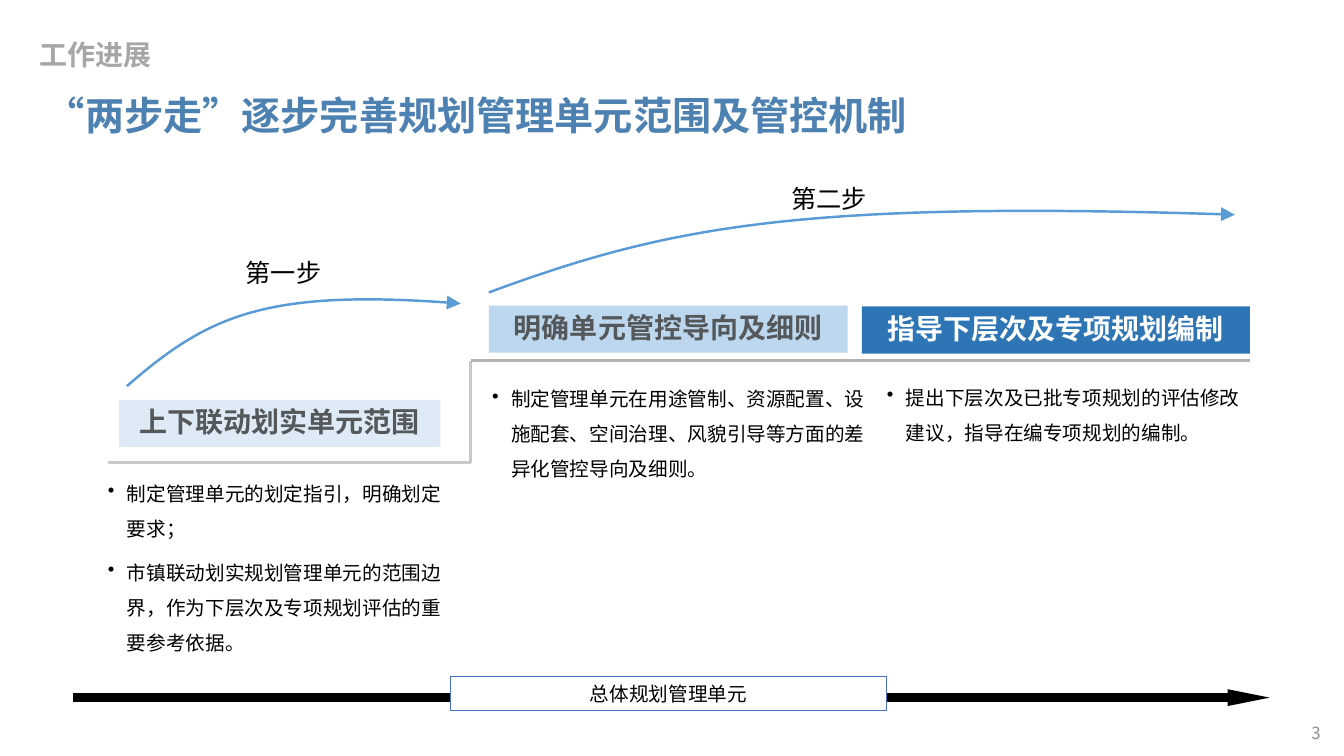
from dataclasses import dataclass

from lxml import etree
from pptx import Presentation
from pptx.dml.color import RGBColor
from pptx.enum import shapes, text
from pptx.oxml import ns
from pptx.util import Cm, Pt

FONT = "Noto Sans CJK SC"
COLORS = {
    "black": "000000", "white": "FFFFFF", "title": "4D81B1", "section": "A6A6A6",
    "number": "8C8C8C", "curve": "5B9BD5", "stair": "C9C9C9", "ledge": "B2B2B2",
    "pale": "DEEBF7", "light": "BDD7EE", "strong": "2E75B6", "slate": "54585A",
    "border": "4472C4",
}
ALIGN = text.PP_ALIGN
MIDDLE = text.MSO_ANCHOR.MIDDLE
Frame = tuple[float, float, float, float]  # left, top, width, height in cm
Point = tuple[float, float]


@dataclass
class Label:
    frame: Frame
    words: str
    size: int
    color: str = "black"
    bold: bool = False
    align: ALIGN = ALIGN.LEFT
    spacing: float = 1.0
    middle: bool = False


@dataclass
class Stage:
    head: Frame
    name: str
    fill: str
    color: str
    body: Frame
    points: list[str]


@dataclass
class Step:
    caption: Label
    curve: list[Point]  # start, two control points, end


def rgb(name: str) -> RGBColor:
    return RGBColor.from_string(COLORS[name])


def sub(parent, tag: str, **attributes: str):
    return etree.SubElement(parent, ns.qn(tag), **attributes)


def write(para, words: str, size: int, color: str, bold: bool = False) -> None:
    span = para.add_run()
    span.text = words
    font = span.font
    font.size, font.bold, font.name = Pt(size), bold, FONT
    font.color.rgb = rgb(color)
    sub(font._element, "a:ea", typeface=FONT)


def remove_margins(frame) -> None:
    frame.margin_left = frame.margin_right = frame.margin_top = frame.margin_bottom = 0


def add_label(page, label: Label) -> None:
    box = page.shapes.add_textbox(*map(Cm, label.frame))
    frame = box.text_frame
    frame.word_wrap = True
    if label.middle:
        frame.vertical_anchor = MIDDLE
    para = frame.paragraphs[0]
    para.alignment, para.line_spacing = label.align, label.spacing
    write(para, label.words, label.size, label.color, label.bold)


def add_bar(page, frame: Frame, fill: str):
    bar = page.shapes.add_shape(shapes.MSO_SHAPE.RECTANGLE, *map(Cm, frame))
    bar.shadow.inherit = False
    bar.fill.solid()
    bar.fill.fore_color.rgb = rgb(fill)
    bar.line.fill.background()
    bar.text_frame.word_wrap = True
    bar.text_frame.vertical_anchor = MIDDLE
    bar.text_frame.paragraphs[0].alignment = ALIGN.CENTER
    return bar


def add_stage(page, stage: Stage) -> None:
    head = add_bar(page, stage.head, stage.fill).text_frame
    remove_margins(head)
    head.paragraphs[0].line_spacing = 0.93
    write(head.paragraphs[0], stage.name, 20, stage.color, True)

    body = page.shapes.add_textbox(*map(Cm, stage.body)).text_frame
    body.word_wrap = True
    remove_margins(body)
    for index, point in enumerate(stage.points):
        para = body.add_paragraph() if index else body.paragraphs[0]
        para.level, para.line_spacing = 1, 1.5
        para.space_before = Pt(6 if index else 0)
        props = para._p.get_or_add_pPr()
        props.set("marL", str(Cm(0.48)))
        props.set("indent", str(Cm(-0.48)))
        sub(sub(props, "a:buClr"), "a:srgbClr", val=COLORS["black"])
        sub(props, "a:buChar", char="•")
        write(para, point, 14, "black")


def style_line(item, color: str, width: float) -> None:
    item.line.color.rgb = rgb(color)
    item.line.width = Pt(width)


def add_arrowhead(item, width: str, length: str) -> None:
    sub(item.line._get_or_add_ln(), "a:tailEnd", type="triangle", w=width, len=length)


def add_line(page, start: Point, end: Point, color: str, width: float):
    line = page.shapes.add_connector(
        shapes.MSO_CONNECTOR.STRAIGHT, *map(Cm, start + end))
    style_line(line, color, width)
    sub(line._element.spPr, "a:effectLst")
    return line


def add_outline(page, points: list[Point], color: str):
    start, *rest = [(Cm(x), Cm(y)) for x, y in points]
    builder = page.shapes.build_freeform(*start)
    builder.add_line_segments(rest, close=False)
    outline = builder.convert_to_shape()
    outline.shadow.inherit = False
    outline.fill.background()
    style_line(outline, color, 1.75)
    return outline


def add_step(page, step: Step) -> None:
    curve = add_outline(page, step.curve, "curve")
    add_arrowhead(curve, "lg", "lg")
    # Turn the three segments into one cubic curve
    track = curve._element.find(".//" + ns.qn("a:path"))
    segments = track.findall(ns.qn("a:lnTo"))
    cubic = sub(track, "a:cubicBezTo")
    for segment in segments:
        cubic.append(segment[0])
        track.remove(segment)
    add_label(page, step.caption)


LABELS = [
    Label((0.74, 0.41, 21.62, 1.4), "工作进展", 20, "section", True, ALIGN.JUSTIFY, 1.5),
    Label((0.91, 2.18, 32.39, 1.45), "“两步走”逐步完善规划管理单元范围及管控机制",
          28, "title", True),
    Label((25.91, 17.96, 7.62, 1.02), "3", 12, "number", align=ALIGN.RIGHT, middle=True),
]
STEPS = [
    Step(Label((4.11, 6.35, 6.07, 1.02), "第一步", 18, align=ALIGN.CENTER),
         [(3.2, 9.73), (5.21, 7.98), (6.71, 7.26), (11.61, 7.65)]),
    Step(Label((16.56, 4.5, 8.66, 1.02), "第二步", 18, align=ALIGN.CENTER),
         [(12.32, 7.37), (16.79, 5.72), (20.14, 5.05), (31.12, 5.41)]),
]
STAGES = [
    Stage((3, 10.08, 8.1, 1.19), "上下联动划实单元范围", "pale", "slate",
          (2.72, 11.84, 8.64, 4.6),
          ["制定管理单元的划定指引，明确划定要求；",
           "市镇联动划实规划管理单元的范围边界，作为下层次及专项规划评估的重要参考依据。"]),
    Stage((12.32, 7.7, 9.04, 1.19), "明确单元管控导向及细则", "light", "slate",
          (12.4, 9.45, 9.45, 2.59),
          ["制定管理单元在用途管制、资源配置、设施配套、空间治理、风貌引导等方面的差异化管控导向及细则。"]),
    Stage((21.72, 7.72, 9.78, 1.19), "指导下层次及专项规划编制", "strong", "white",
          (22.35, 9.42, 9.14, 1.7),
          ["提出下层次及已批专项规划的评估修改建议，指导在编专项规划的编制。"]),
]


def main() -> None:
    deck = Presentation()
    deck.slide_width, deck.slide_height = Cm(33.87), Cm(19.05)
    page = deck.slides.add_slide(deck.slide_layouts[6])

    # Headings and page number
    for label in LABELS:
        add_label(page, label)

    # Staircase under the stage names
    corner = (11.86, 9.09)
    add_outline(page, [(2.72, 11.66), (11.86, 11.66), corner], "stair")
    add_line(page, corner, (31.5, 9.09), "ledge", 2)

    # Steps and stages
    for step in STEPS:
        add_step(page, step)
    for stage in STAGES:
        add_stage(page, stage)

    # Base arrow with its label
    base = add_line(page, (1.85, 17.58), (32, 17.58), "black", 6)
    add_arrowhead(base, "sm", "lg")
    unit = add_bar(page, (11.35, 17.04, 11, 0.86), "white")
    style_line(unit, "border", 0.75)
    write(unit.text_frame.paragraphs[0], "总体规划管理单元", 14, "black")

    deck.save("out.pptx")


if __name__ == "__main__":
    main()
